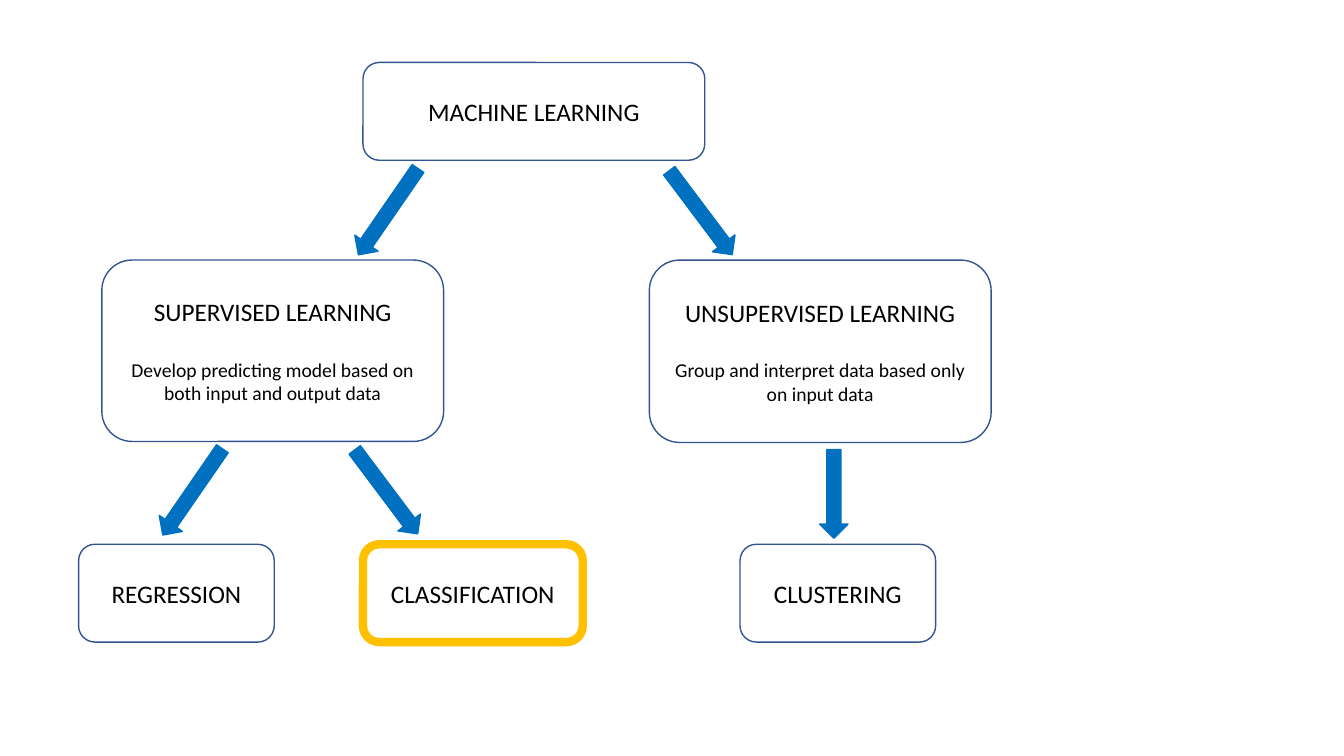
import pptx
import pptx.util
import pptx.dml.color
import pptx.enum.shapes
import pptx.enum.text

Inches = pptx.util.Inches
RGBColor = pptx.dml.color.RGBColor
Kind = pptx.enum.shapes.MSO_SHAPE

BLACK = RGBColor(0, 0, 0)
NAVY = RGBColor(0x32, 0x54, 0x91)
BLUE = RGBColor(0x00, 0x70, 0xC0)
GOLD = RGBColor(0xFF, 0xC0, 0x00)
WIDE, LOW = 3.39, 0.97
LEFT, RIGHT, DOWN = 124.6, 53.1, 90


def add_text(para, text, size):
    """Add one centred run to a paragraph."""
    para.alignment = pptx.enum.text.PP_ALIGN.CENTER
    run = para.add_run()
    run.text = text
    run.font.name = "Calibri"
    run.font.size = pptx.util.Pt(size)
    run.font.color.rgb = BLACK


def add_box(slide, x, y, w, h, title, note="", color=NAVY, weight=1):
    """Draw a rounded box with a title and an optional note."""
    box = slide.shapes.add_shape(
        Kind.ROUNDED_RECTANGLE, Inches(x), Inches(y), Inches(w), Inches(h))
    box.shadow.inherit = False
    box.fill.background()
    box.line.color.rgb = color
    box.line.width = pptx.util.Pt(weight)
    frame = box.text_frame
    frame.word_wrap = True
    frame.vertical_anchor = pptx.enum.text.MSO_ANCHOR.MIDDLE
    add_text(frame.paragraphs[0], title, 18)
    if note:
        para = frame.add_paragraph()
        para.space_before = pptx.util.Pt(22)
        add_text(para, note, 14)


def add_arrow(slide, x, y, angle, size=1.04, thick=0.28):
    """Draw a block arrow centred on a point and turned by an angle."""
    arrow = slide.shapes.add_shape(
        Kind.RIGHT_ARROW, Inches(x - size / 2), Inches(y - thick / 2),
        Inches(size), Inches(thick))
    arrow.rotation = angle
    arrow.shadow.inherit = False
    arrow.fill.solid()
    arrow.fill.fore_color.rgb = BLUE
    arrow.line.color.rgb = BLUE
    arrow.line.width = pptx.util.Pt(1)


def add_root(slide, x, y):
    """Draw the top box and its two arrows."""
    add_box(slide, x, y, WIDE, LOW, "MACHINE LEARNING")
    add_arrow(slide, x + 0.25, y + 1.48, LEFT)
    add_arrow(slide, x + WIDE - 0.04, y + 1.49, RIGHT)


def add_guided(slide, x, y):
    """Draw the supervised branch with its two methods."""
    add_box(slide, x, y, WIDE, 1.8, "SUPERVISED LEARNING",
            "Develop predicting model based on both input and output data")
    add_arrow(slide, x + 0.9, y + 2.3, LEFT)
    add_arrow(slide, x + 2.82, y + 2.3, RIGHT)
    add_box(slide, x - 0.23, y + 2.82, 1.94, LOW, "REGRESSION")
    add_box(slide, x + 2.59, y + 2.82, 2.18, LOW, "CLASSIFICATION",
            color=GOLD, weight=6)


def add_free(slide, x, y):
    """Draw the unsupervised branch with its one method."""
    add_box(slide, x, y, WIDE, 1.81, "UNSUPERVISED LEARNING",
            "Group and interpret data based only on input data")
    add_arrow(slide, x + 1.83, y + 2.32, DOWN, size=0.88)
    add_box(slide, x + 0.9, y + 2.82, 1.94, LOW, "CLUSTERING")


def main():
    """Build the slide and save it."""
    deck = pptx.Presentation()
    deck.slide_width = Inches(13.33)
    deck.slide_height = Inches(7.5)
    slide = deck.slides.add_slide(deck.slide_layouts[6])
    add_root(slide, 3.6, 0.62)
    add_guided(slide, 1.01, 2.58)
    add_free(slide, 6.44, 2.58)
    deck.save("out.pptx")


if __name__ == "__main__":
    main()
